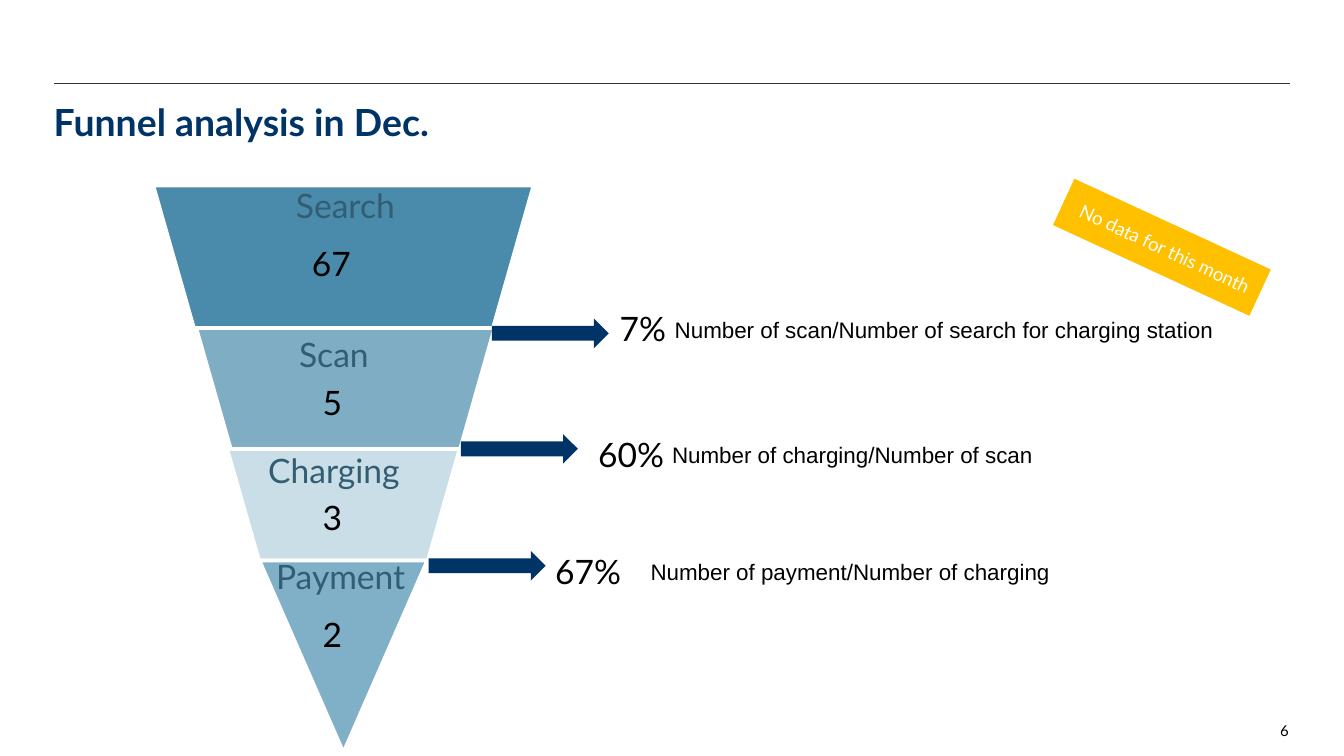
from lxml import etree
from pptx import Presentation
from pptx.dml.color import RGBColor
from pptx.enum.shapes import MSO_CONNECTOR as CONNECTOR, MSO_SHAPE as SHAPE
from pptx.enum.text import MSO_ANCHOR as ANCHOR, PP_ALIGN as ALIGN
from pptx.oxml.ns import qn
from pptx.util import Inches, Pt

NAVY, BLACK, WHITE, TEAL = "003366", "000000", "FFFFFF", "325D72"

# Content: name, count, segment box, taper, fill, opacity, name box, count position
STAGES = [
    ("Search", "67", (1.14, 1.38, 2.83, 1.06), 0.285, "4A8BAC", 100,
     (1.65, 1.38, 1.84, 1.06), (2.32, 1.81)),
    ("Scan", "5", (1.46, 2.44, 2.22, 0.9), 0.285, "4A8BAC", 70,
     (1.8, 2.49, 1.37, 0.9), (2.4, 2.84)),
    ("Charging", "3", (1.69, 3.34, 1.73, 0.83), 0.285, "B3D0DE", 70,
     (1.8, 3.35, 1.37, 0.8), (2.4, 3.7)),
    ("Payment", "2", (1.93, 4.17, 1.25, 1.43), 0.5, "80B0C8", 100,
     (1.91, 4.14, 1.25, 1.37), (2.4, 4.57)),
]
# Rate, definition, then the positions of arrow, rate and definition
RATES = [
    ("7%", "Number of scan/Number of search for charging station",
     (3.66, 2.37), (4.61, 2.29), (5.02, 2.35)),
    ("60%", "Number of charging/Number of scan",
     (3.43, 3.23), (4.45, 3.23), (5, 3.28)),
    ("67%", "Number of payment/Number of charging",
     (3.19, 4.1), (4.13, 4.1), (4.84, 4.15)),
]
ARROW_SIZE = (0.87, 0.22)
FIGURE_SIZE = (0.55, 0.38)
DEFINITION_SIZE = (4.41, 0.31)


def rgb(value):
    return RGBColor.from_string(value)


def write(holder, text, size, color=BLACK, font="Lato", bold=False,
          align=ALIGN.LEFT, anchor=ANCHOR.TOP, inset=0, spacing=1.0):
    frame = holder.text_frame
    margin = Inches(inset)
    settings = dict(word_wrap=True, vertical_anchor=anchor, margin_left=margin,
                    margin_right=margin, margin_top=margin, margin_bottom=margin)
    for name, value in settings.items():
        setattr(frame, name, value)
    paragraph = frame.paragraphs[0]
    paragraph.alignment = align
    paragraph.line_spacing = spacing
    run = paragraph.add_run()
    run.text = text
    for name, value in dict(name=font, size=Pt(size), bold=bold).items():
        setattr(run.font, name, value)
    run.font.color.rgb = rgb(color)


def add_text(box, text, size, **style):
    write(slide.shapes.add_textbox(*map(Inches, box)), text, size, **style)


def add_block(preset, box, fill, opacity=100, rotation=0):
    block = slide.shapes.add_shape(preset, *map(Inches, box))
    block.shadow.inherit = False
    block.rotation = rotation
    block.fill.solid()
    block.fill.fore_color.rgb = rgb(fill)
    block.line.fill.background()
    if opacity < 100:
        color = block._element.spPr.find(qn("a:solidFill"))[0]
        etree.SubElement(color, qn("a:alpha"), val=str(opacity * 1000))
    return block


deck = Presentation()
deck.slide_width = Inches(10)
deck.slide_height = deck.slide_width * 9 // 16
slide = deck.slides.add_slide(deck.slide_layouts[6])

# Header rule, title and page number
rule = slide.shapes.add_connector(
    CONNECTOR.STRAIGHT, *map(Inches, (0.4, 0.62, 9.6, 0.62)))
rule.line.color.rgb = rgb("333333")
rule.line.width = Pt(0.75)
etree.SubElement(rule._element.spPr, qn("a:effectLst"))
add_text((0.4, 0.74, 9.2, 0.56), "Funnel analysis in Dec.", 20, color=NAVY, bold=True)
add_text((8.85, 5.37, 0.74, 0.15), "6", 8, align=ALIGN.RIGHT)

# Funnel segments
for _, _, box, taper, fill, opacity, _, _ in STAGES:
    segment = add_block(SHAPE.TRAPEZOID, box, fill, opacity, rotation=180)
    segment.adjustments[0] = taper
    segment.line.color.rgb = rgb(WHITE)
    segment.line.width = Pt(2)

# Stage names and counts
for stage, count, *_, name_box, count_at in STAGES:
    add_text(name_box, stage, 18, color=TEAL, align=ALIGN.CENTER,
             inset=0.03, spacing=0.9)
    add_text(count_at + FIGURE_SIZE, count, 18)

# Conversion rates
for rate, definition, arrow_at, rate_at, definition_at in RATES:
    add_block(SHAPE.RIGHT_ARROW, arrow_at + ARROW_SIZE, NAVY)
    add_text(rate_at + FIGURE_SIZE, rate, 18)
    add_text(definition_at + DEFINITION_SIZE, definition, 12, font="Arial")

# Tilted notice
notice = add_block(SHAPE.RECTANGLE, (7.84, 1.65, 1.61, 0.38), "FFC000", rotation=24.8)
write(notice, "No data for this month", 10, color=WHITE,
      align=ALIGN.CENTER, anchor=ANCHOR.MIDDLE)
notice.text_frame.margin_left = Inches(0.05)

deck.save("out.pptx")
